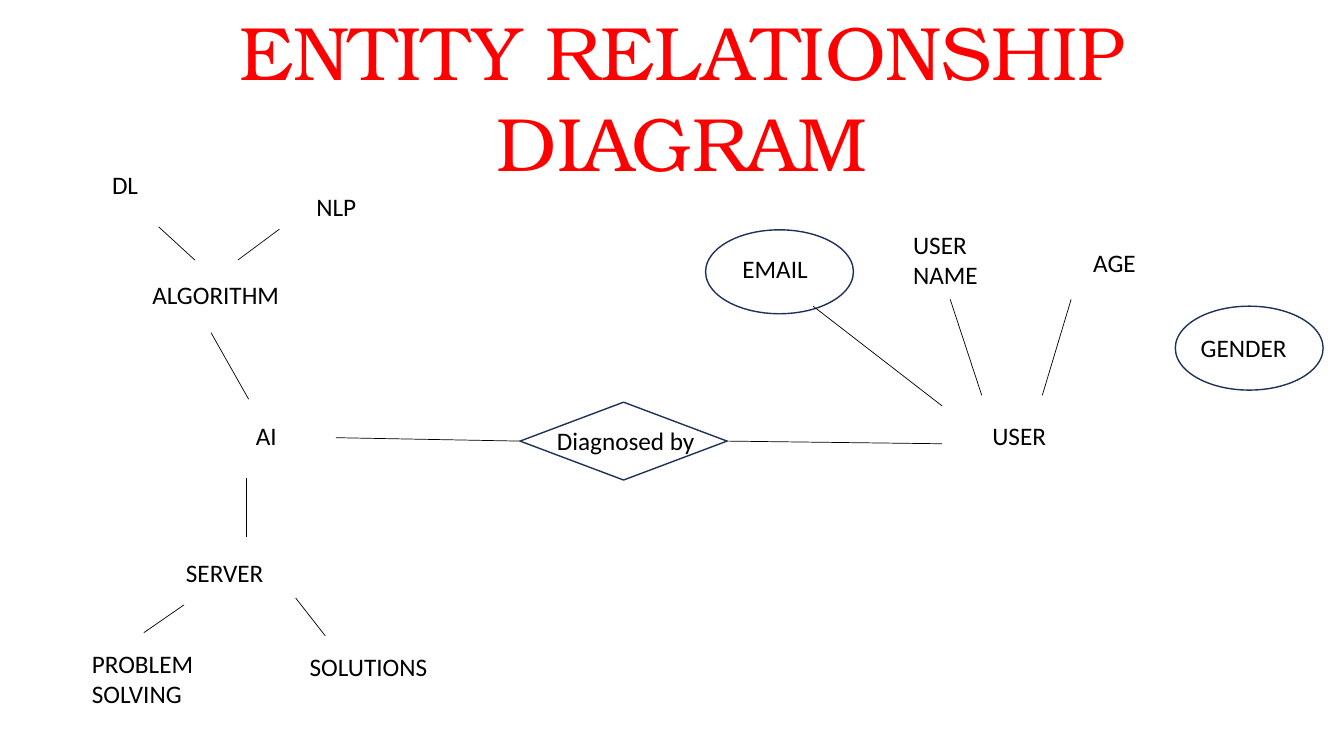
import pptx
import pptx.util
import pptx.dml.color
import pptx.enum.shapes
import pptx.enum.text
import pptx.oxml.ns
import lxml.etree

# Content: every length is a percentage of the slide's width or height
COLOURS = {"title": "FF0000", "text": "000000", "line": "000000",
           "soft line": "0D0D0D", "outline": "1E3256", "paper": "FFFFFF"}
TITLE = ("ENTITY RELATIONSHIP DIAGRAM", 2.6, 0, 96.3, 25.6)
LINE_HEIGHTS = {1: 5.3, 2: 9.5}

# text, left, top, width, lines
LABELS = [
    ("DL", 7.6, 21.7, 5.6, 1),
    ("NLP", 22.8, 24.7, 5.4, 1),
    ("ALGORITHM", 10.6, 36.3, 12.3, 1),
    ("AI", 18.3, 54.9, 3.7, 1),
    ("SERVER", 13.1, 73.1, 12.7, 1),
    ("PROBLEM SOLVING", 6.1, 85.1, 10.7, 2),
    ("SOLUTIONS", 22.3, 85.5, 10.7, 1),
    ("Diagnosed by", 40.7, 55.6, 11.8, 1),
    ("EMAIL", 54.5, 32.9, 9.7, 1),
    ("USER NAME", 67.2, 29.7, 10.1, 2),
    ("AGE", 80.6, 32, 5, 1),
    ("GENDER", 88.6, 43.3, 8.6, 1),
    ("USER", 73.1, 54.9, 5.6, 1),
]
RELATION = (38.7, 53.2, 15.4, 10.3)
ATTRIBUTE_SIZE = (11, 11.1)
ATTRIBUTES = [(52.5, 30.4), (87.45, 40.5)]  # EMAIL, GENDER

# from x, from y, to x, to y, colour
LINKS = [
    (11.8, 30, 14.5, 34.4, "line"),         # DL - ALGORITHM
    (17.7, 34.4, 20.8, 30.3, "soft line"),  # ALGORITHM - NLP
    (15.7, 44, 18.5, 52.8, "line"),         # ALGORITHM - AI
    (18.3, 63.2, 18.3, 71.1, "line"),       # AI - SERVER
    (13.7, 80, 10.7, 83.7, "line"),         # SERVER - PROBLEM SOLVING
    (22, 79.1, 24.2, 84.1, "line"),         # SERVER - SOLUTIONS
    (60.5, 40.5, 70.1, 53.7, "line"),       # EMAIL - USER
    (70.7, 39.6, 73.05, 52.3, "line"),      # USER NAME - USER
    (79.7, 39.6, 77.55, 52.3, "line"),      # AGE - USER
]
# side of the diamond, far end x, far end y
RELATION_LINKS = [(1, 25, 57.9), (3, 70.1, 58.7)]  # to AI, to USER

deck = pptx.Presentation()
deck.slide_width = pptx.util.Inches(13.33)
deck.slide_height = pptx.util.Inches(7.5)
slide = deck.slides.add_slide(deck.slide_layouts[6])


def place(*shares):
    """Turn alternating x and y percentages into slide lengths."""
    sides = (deck.slide_width, deck.slide_height)
    return [round(share / 100 * sides[i % 2]) for i, share in enumerate(shares)]


def rgb(name):
    return pptx.dml.color.RGBColor.from_string(COLOURS[name])


def add_text(text, box, align, font_values, colour):
    frame = slide.shapes.add_textbox(*place(*box)).text_frame
    frame.word_wrap = True
    paragraph = frame.paragraphs[0]
    paragraph.alignment = align
    run = paragraph.add_run()
    run.text = text
    for key, value in font_values.items():
        setattr(run.font, key, value)
    run.font.color.rgb = rgb(colour)


def add_outline(kind, box):
    outline = slide.shapes.add_shape(kind, *place(*box))
    outline.shadow.inherit = False
    outline.fill.background()
    outline.line.color.rgb = rgb("outline")
    outline.line.width = pptx.util.Pt(1)
    return outline


def add_link(x1, y1, x2, y2, colour):
    link = slide.shapes.add_connector(
        pptx.enum.shapes.MSO_CONNECTOR.STRAIGHT, *place(x1, y1, x2, y2))
    link.line.color.rgb = rgb(colour)
    link.line.width = pptx.util.Pt(0.5)
    lxml.etree.SubElement(link._element.spPr, pptx.oxml.ns.qn("a:effectLst"))
    return link


# Title
add_text(TITLE[0], TITLE[1:], pptx.enum.text.PP_ALIGN.CENTER,
         {"name": "TeX Gyre Bonum", "size": pptx.util.Pt(54)}, "title")

# Relation diamond and attribute ellipses
diagnosed_by = add_outline(pptx.enum.shapes.MSO_SHAPE.DIAMOND, RELATION)
diagnosed_by.fill.solid()
diagnosed_by.fill.fore_color.rgb = rgb("paper")
for corner in ATTRIBUTES:
    add_outline(pptx.enum.shapes.MSO_SHAPE.OVAL, corner + ATTRIBUTE_SIZE)

# Entity and attribute names
for name, left, top, width, lines in LABELS:
    add_text(name, (left, top, width, LINE_HEIGHTS[lines]),
             pptx.enum.text.PP_ALIGN.LEFT,
             {"name": "Calibri", "size": pptx.util.Pt(18)}, "text")

# Links
for ends in LINKS:
    add_link(*ends)
for side, x, y in RELATION_LINKS:
    add_link(x, y, x, y, "line").begin_connect(diagnosed_by, side)

deck.save("out.pptx")
